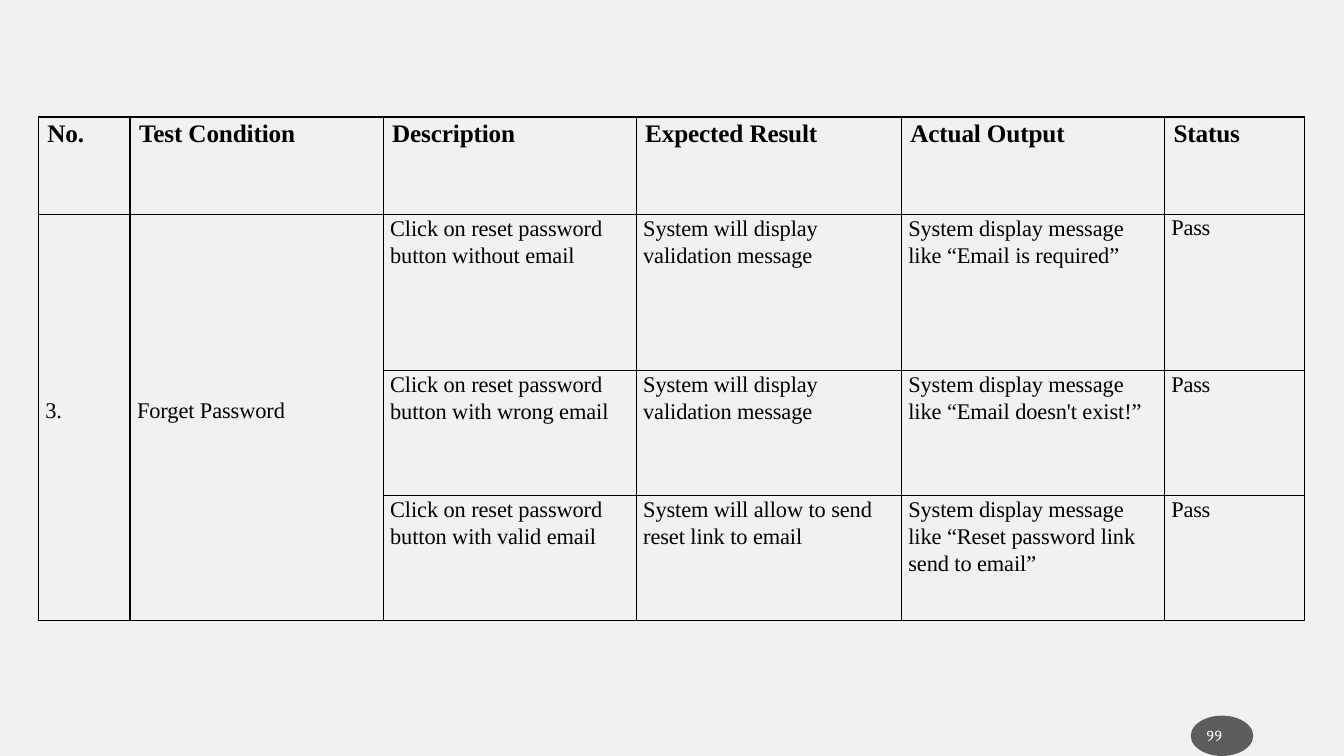
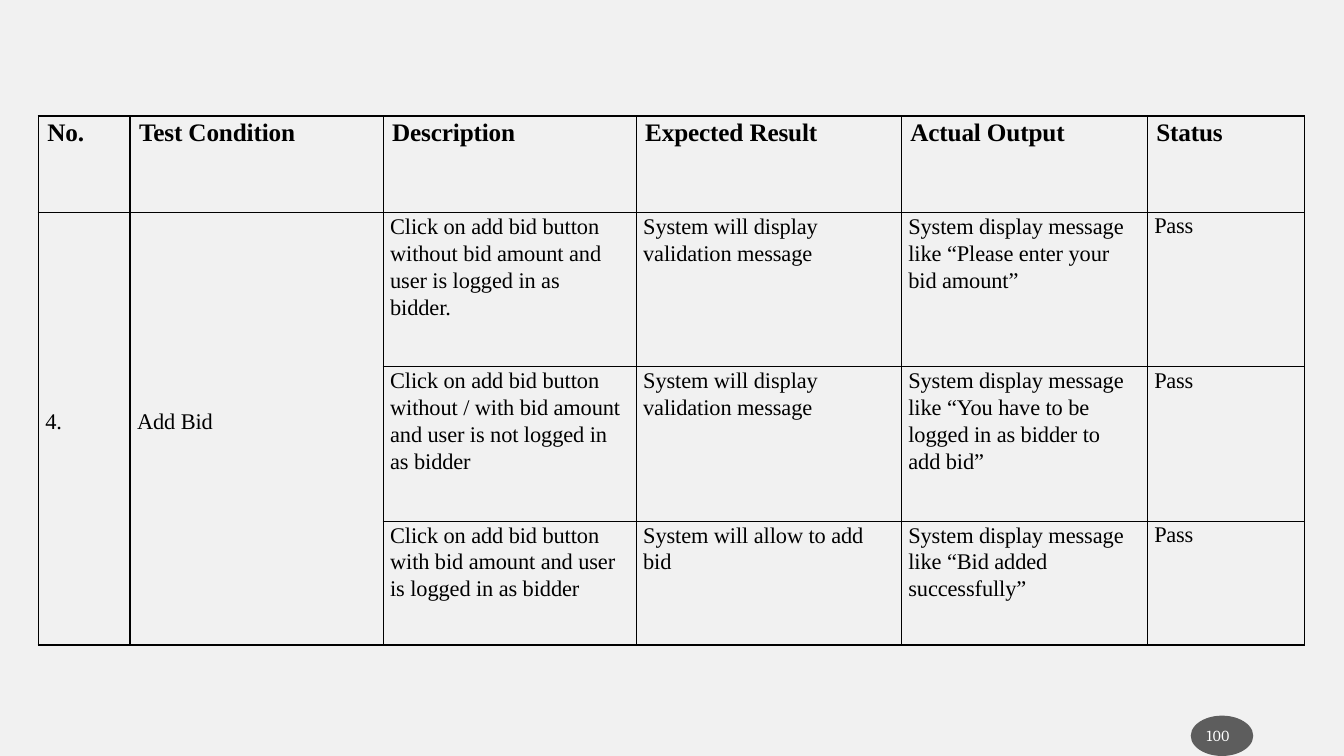
from dataclasses import dataclass

import lxml.etree
import pptx
import pptx.dml.color
import pptx.enum.shapes
import pptx.enum.text
import pptx.oxml.ns
import pptx.util

Inches = pptx.util.Inches
RGBColor = pptx.dml.color.RGBColor
Anchor = pptx.enum.text.MSO_ANCHOR
qn = pptx.oxml.ns.qn

PAPER = RGBColor(0xF1, 0xF1, 0xF1)
INK = RGBColor(0, 0, 0)
BADGE = RGBColor(0x1C, 0x1C, 0x1C)
WHITE = RGBColor(0xFF, 0xFF, 0xFF)
SERIF = "Times New Roman"

HEADS = ["No.", "Test Condition", "Description", "Expected Result", "Actual Output", "Status"]
CHECK = "System will display validation message"


@dataclass
class Case:
    action: str
    wanted: str
    message: str


@dataclass
class Sheet:
    page: int
    top: float
    widths: list[float]
    heights: list[float]
    number: str
    topic: str
    cases: list[Case]


SHEETS = [
    Sheet(99, 1.16, [0.91, 2.51, 2.51, 2.63, 2.61, 1.39], [0.97, 1.55, 1.24, 1.24],
          "3.", "Forget Password", [
              Case("Click on reset password button without email", CHECK, "Email is required"),
              Case("Click on reset password button with wrong email", CHECK, "Email doesn't exist!"),
              Case("Click on reset password button with valid email",
                   "System will allow to send reset link to email", "Reset password link send to email"),
          ]),
    Sheet(100, 1.15, [0.91, 2.51, 2.51, 2.63, 2.44, 1.56], [0.96, 1.53, 1.53, 1.23],
          "4.", "Add Bid", [
              Case("Click on add bid button without bid amount and user is logged in as bidder.",
                   CHECK, "Please enter your bid amount"),
              Case("Click on add bid button without / with bid amount and user is not logged in as bidder",
                   CHECK, "You have to be logged in as bidder to add bid"),
              Case("Click on add bid button with bid amount and user is logged in as bidder",
                   "System will allow to add bid", "Bid added successfully"),
          ]),
]


def write(frame, text: str, *, size: float = 16, font: str = SERIF, color: RGBColor = INK,
          bold: bool = False, track: int = -5, lead: float | None = None) -> None:
    para = frame.paragraphs[0]
    if lead:
        para.line_spacing = pptx.util.Pt(lead)
    run = para.add_run()
    run.text = text
    run.font.size = pptx.util.Pt(size)
    run.font.name = font
    run.font.bold = bold
    run.font.color.rgb = color
    run.font._element.set("spc", str(track))


def border(cell) -> None:
    props = cell._tc.get_or_add_tcPr()
    for side in ("lnL", "lnR", "lnT", "lnB"):
        line = lxml.etree.SubElement(props, qn(f"a:{side}"), w="12700")
        fill = lxml.etree.SubElement(line, qn("a:solidFill"))
        lxml.etree.SubElement(fill, qn("a:srgbClr"), val=str(INK))


def pad(cell, left: float, top: float = 0, right: float = 0, bottom: float = 0) -> None:
    cell.margin_left = Inches(left)
    cell.margin_top = Inches(top)
    cell.margin_right = Inches(right)
    cell.margin_bottom = Inches(bottom)


def draw_table(slide, sheet: Sheet) -> None:
    rows, cols = len(sheet.heights), len(sheet.widths)
    table = slide.shapes.add_table(rows, cols, Inches(0.38), Inches(sheet.top),
                                   Inches(sum(sheet.widths)), Inches(sum(sheet.heights))).table
    table.first_row = table.horz_banding = False
    for col, width in zip(table.columns, sheet.widths):
        col.width = Inches(width)
    for row, height in zip(table.rows, sheet.heights):
        row.height = Inches(height)
    for cell in table.iter_cells():
        border(cell)
        cell.fill.background()
        pad(cell, 0.07)

    for col, head in enumerate(HEADS):
        cell = table.cell(0, col)
        pad(cell, 0.09, top=0.03)
        write(cell.text_frame, head, size=18, bold=True, track=-10)

    for col, text in enumerate((sheet.number, sheet.topic)):
        cell = table.cell(1, col)
        cell.merge(table.cell(rows - 1, col))
        cell.vertical_anchor = Anchor.MIDDLE
        pad(cell, 0.07, bottom=0.14)
        write(cell.text_frame, text)

    for row, case in enumerate(sheet.cases, 1):
        reply = f"System display message like “{case.message}”"
        texts = ((case.action, 0.12), (case.wanted, 0.17), (reply, 0.17))
        for col, (text, right) in enumerate(texts, 2):
            cell = table.cell(row, col)
            pad(cell, 0.07, right=right)
            write(cell.text_frame, text, lead=19.2)
        write(table.cell(row, cols - 1).text_frame, "Pass", track=-20, lead=18.6)


def draw_badge(slide, page: int) -> None:
    oval = slide.shapes.add_shape(pptx.enum.shapes.MSO_SHAPE.OVAL, Inches(11.81), Inches(7.1),
                                  Inches(0.62), Inches(0.4))
    oval.shadow.inherit = False
    oval.line.fill.background()
    oval.fill.solid()
    oval.fill.fore_color.rgb = BADGE
    shade = oval._element.spPr.find(".//" + qn("a:srgbClr"))
    lxml.etree.SubElement(shade, qn("a:alpha"), val="69000")

    frame = slide.shapes.add_textbox(Inches(11.87), Inches(7.2), Inches(0.44), Inches(0.21)).text_frame
    frame.word_wrap = True
    frame.margin_left = Inches(0.1)
    frame.margin_top = frame.margin_right = frame.margin_bottom = 0
    write(frame, str(page), size=11, font="Cambria", color=WHITE, track=40)


def main() -> None:
    deck = pptx.Presentation()
    deck.slide_width, deck.slide_height = Inches(13.33), Inches(7.5)
    back = deck.slide_master.background.fill
    back.solid()
    back.fore_color.rgb = PAPER
    for sheet in SHEETS:
        slide = deck.slides.add_slide(deck.slide_layouts[6])
        draw_badge(slide, sheet.page)
        draw_table(slide, sheet)
    deck.save("out.pptx")


if __name__ == "__main__":
    main()
